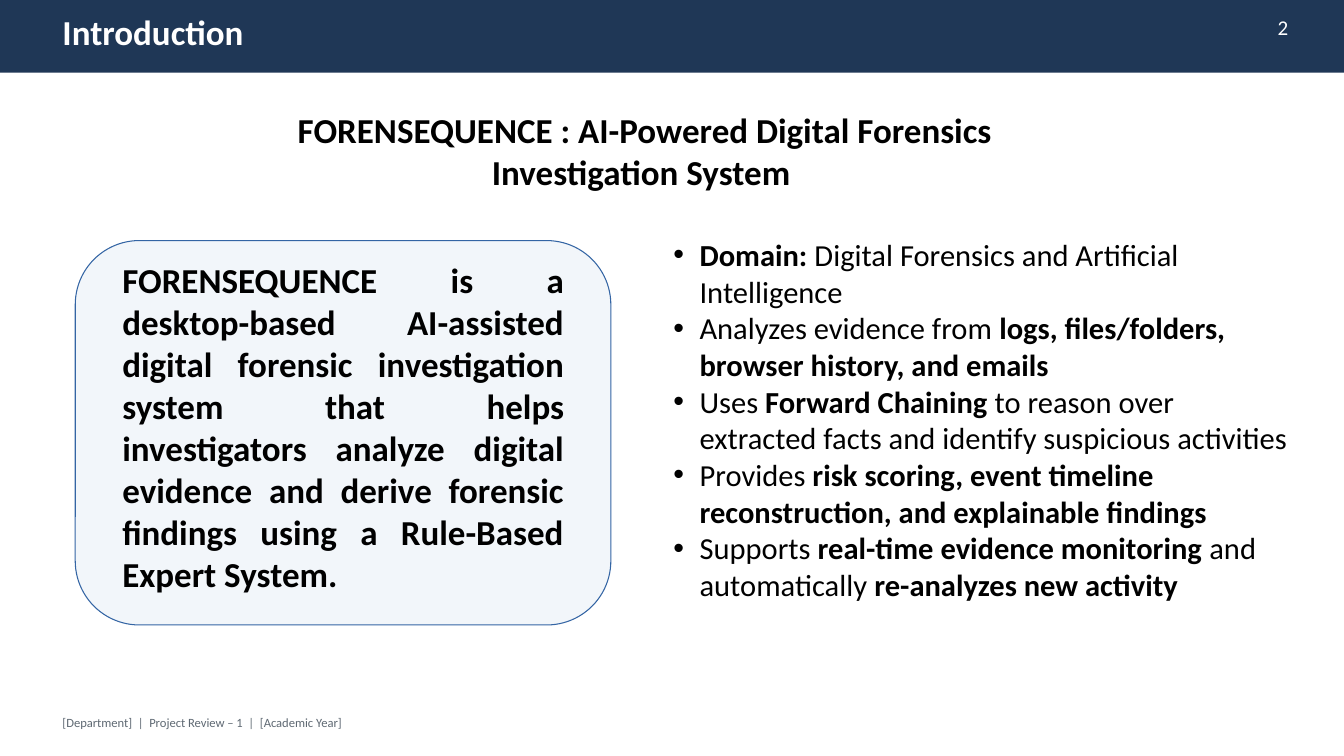
import lxml.etree
import pptx
import pptx.dml.color
import pptx.enum.shapes
import pptx.enum.text
import pptx.oxml.ns
import pptx.util

Inches, Pt = pptx.util.Inches, pptx.util.Pt
RGB = pptx.dml.color.RGBColor.from_string
ALIGN = pptx.enum.text.PP_ALIGN
SHAPE = pptx.enum.shapes.MSO_SHAPE

COLORS = {"navy": "1F3756", "white": "FFFFFF", "black": "000000",
          "grey": "5F6973", "panel": "F2F6FA", "border": "3465A4"}
FRAME = {"margin_left": 0, "margin_top": 0, "margin_right": 0, "margin_bottom": 0,
         "word_wrap": True, "auto_size": pptx.enum.text.MSO_AUTO_SIZE.NONE,
         "vertical_anchor": pptx.enum.text.MSO_ANCHOR.TOP}


def place(sp, left, top, width, height):
    box = {"left": left, "top": top, "width": width, "height": height}
    for name, value in box.items():
        setattr(sp, name, Inches(value))


def write(sp, paragraphs, size, spacing, color, align=ALIGN.LEFT):
    """Fill a text frame; each paragraph is a list of (text, bold) runs."""
    tf = sp.text_frame
    for name, value in FRAME.items():
        setattr(tf, name, value)
    layout = {"alignment": align, "line_spacing": Pt(spacing),
              "space_before": Pt(0), "space_after": Pt(0)}
    for i, runs in enumerate(paragraphs):
        p = tf.add_paragraph() if i else tf.paragraphs[0]
        for name, value in layout.items():
            setattr(p, name, value)
        for text, bold in runs:
            r = p.add_run()
            r.text = text
            font = {"name": "Calibri", "size": Pt(size), "bold": bold}
            for name, value in font.items():
                setattr(r.font, name, value)
            r.font.color.rgb = RGB(COLORS[color])


prs = pptx.Presentation()
prs.slide_width, prs.slide_height = Inches(20), Inches(11.25)
s = prs.slides.add_slide(prs.slide_layouts[1])
title, body = s.placeholders[0], s.placeholders[1]

# Header bar, kept behind the title
bar = s.shapes.add_shape(SHAPE.RECTANGLE, 0, 0, prs.slide_width, Inches(1.08))
bar.shadow.inherit = False
bar.fill.solid()
bar.fill.fore_color.rgb = RGB(COLORS["navy"])
bar.line.fill.background()
s.shapes._spTree.insert(2, bar._element)

# Title
place(title, 0.93, 0.16, 17.35, 0.61)
write(title, [[("Introduction", True)]], 37.5, 45, "white")

# Rounded panel behind the summary
panel = s.shapes.add_shape(SHAPE.ROUNDED_RECTANGLE, Inches(1.12), Inches(3.58),
                           Inches(7.97), Inches(5.72))
panel.shadow.inherit = False
panel.fill.solid()
panel.fill.fore_color.rgb = RGB(COLORS["panel"])
panel.line.color.rgb = RGB(COLORS["border"])
panel.line.width = Pt(1.13)

# Page number, footer, heading and summary
summary = ("FORENSEQUENCE is a desktop-based AI-assisted digital forensic investigation "
           "system that helps investigators analyze digital evidence and derive forensic "
           "findings using a Rule-Based Expert System.")
texts = [
    ((18.62, 0.21, 0.55, 0.49), [[("2", False)]], 22.5, 27, "white", ALIGN.RIGHT),
    ((0.93, 10.64, 18.1, 0.26),
     [[("[Department]  |  Project Review – 1  |  [Academic Year]", False)]],
     13.5, 16.2, "grey", ALIGN.LEFT),
    ((2.99, 1.62, 13.22, 1.33),
     [[("FORENSEQUENCE : AI-Powered Digital Forensics", True)],
      [("Investigation System ", True)]], 37.5, 45, "black", ALIGN.CENTER),
    ((1.82, 3.85, 6.58, 5.08), [[(summary, True)]], 37.5, 45, "black", ALIGN.JUSTIFY),
]
for box, paragraphs, size, spacing, color, align in texts:
    sp = s.shapes.add_textbox(*map(Inches, box))
    write(sp, paragraphs, size, spacing, color, align)

# Bulleted list
points = [
    [("Domain:", True), (" Digital Forensics and Artificial Intelligence", False)],
    [("Analyzes evidence from", False),
     (" logs, files/folders, browser history, and emails", True)],
    [("Uses ", False), ("Forward Chaining", True),
     (" to reason over extracted facts and identify suspicious activities", False)],
    [("Provides ", False),
     ("risk scoring, event timeline reconstruction, and explainable findings", True)],
    [("Supports ", False), ("real-time evidence monitoring", True),
     (" and automatically ", False), ("re-analyzes new activity", True)],
]
place(body, 9.64, 3.51, 9.54, 5.49)
write(body, points, 32.7, 39.3, "black")
for p in body.text_frame.paragraphs:
    pPr = p._p.get_or_add_pPr()
    pPr.set("marL", str(Inches(0.77)))
    pPr.set("indent", str(Inches(-0.39)))
    for tag, name, value in (("a:buFont", "typeface", "Arial"), ("a:buChar", "char", "•")):
        lxml.etree.SubElement(pPr, pptx.oxml.ns.qn(tag)).set(name, value)

prs.save("out.pptx")
